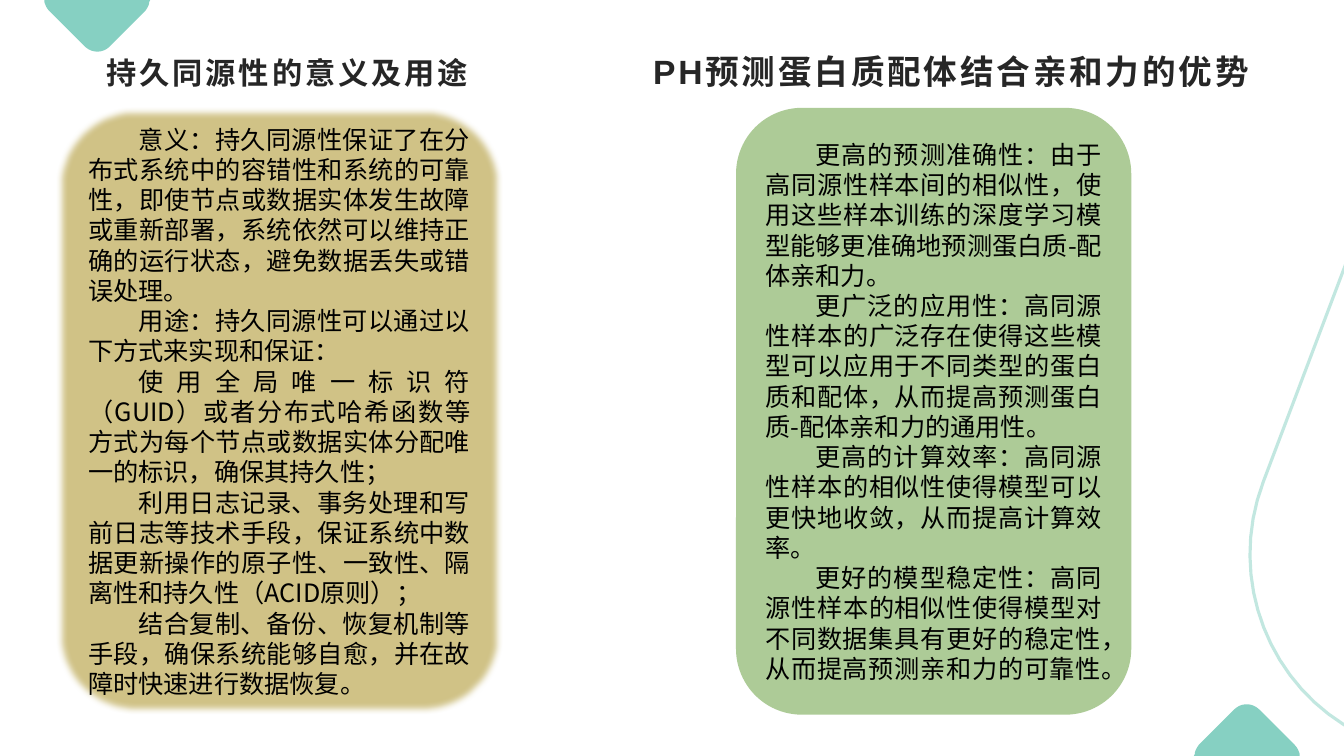
"""Build the slide on persistent homology: its meaning, uses and advantages."""
from dataclasses import dataclass

from lxml import etree
from pptx import Presentation
from pptx.dml.color import RGBColor
from pptx.enum.lang import MSO_LANGUAGE_ID
from pptx.enum.shapes import MSO_SHAPE
from pptx.enum.text import MSO_ANCHOR, PP_ALIGN
from pptx.oxml.ns import qn
from pptx.shapes.autoshape import Shape
from pptx.slide import Slide
from pptx.text.text import _Paragraph
from pptx.util import Inches, Pt

ROUNDED = MSO_SHAPE.ROUNDED_RECTANGLE
MIDDLE = MSO_ANCHOR.MIDDLE
LEFT, CENTER, JUSTIFY = PP_ALIGN.LEFT, PP_ALIGN.CENTER, PP_ALIGN.JUSTIFY
CHINESE = MSO_LANGUAGE_ID.SIMPLIFIED_CHINESE

WIDTH, HEIGHT = 13.33, 7.5
CHINESE_FONT, TITLE_FONT = "Noto Sans CJK SC", "Arial"
TEAL, TITLE_COLOR, BODY_COLOR = "86D0C2", "262626", "000000"
CURVE_STEPS = 16

Point = tuple[float, float]


@dataclass
class Title:
    text: str
    left: float
    top: float
    width: float
    height: float
    size: float
    alignment: PP_ALIGN


@dataclass
class Panel:
    left: float
    width: float
    fill: str
    soft_edge: float
    paragraphs: list[str]


TITLES = [
    Title("持久同源性的意义及用途", 0.73, 0.48, 4.24, 0.48, 21.6, CENTER),
    Title("PH预测蛋白质配体结合亲和力的优势", 6.38, 0.46, 6.37, 0.5, 24, LEFT),
]
PANELS = [
    Panel(0.56, 4.42, "D0C286", 5, [
        "意义：持久同源性保证了在分布式系统中的容错性和系统的可靠性，即使节点或数据实体发生故障或重新部署，"
        "系统依然可以维持正确的运行状态，避免数据丢失或错误处理。",
        "用途：持久同源性可以通过以下方式来实现和保证：",
        "使用全局唯一标识符（GUID）或者分布式哈希函数等方式为每个节点或数据实体分配唯一的标识，确保其持久性；",
        "利用日志记录、事务处理和写前日志等技术手段，保证系统中数据更新操作的原子性、一致性、"
        "隔离性和持久性（ACID原则）；",
        "结合复制、备份、恢复机制等手段，确保系统能够自愈，并在故障时快速进行数据恢复。",
    ]),
    Panel(7.3, 3.92, "ADCB97", 0, [
        "更高的预测准确性：由于高同源性样本间的相似性，使用这些样本训练的深度学习模型能够更准确地预测"
        "蛋白质-配体亲和力。",
        "更广泛的应用性：高同源性样本的广泛存在使得这些模型可以应用于不同类型的蛋白质和配体，"
        "从而提高预测蛋白质-配体亲和力的通用性。",
        "更高的计算效率：高同源性样本的相似性使得模型可以更快地收敛，从而提高计算效率。",
        "更好的模型稳定性：高同源性样本的相似性使得模型对不同数据集具有更好的稳定性，"
        "从而提高预测亲和力的可靠性。",
    ]),
]


def color(value: str) -> RGBColor:
    return RGBColor.from_string(value)


def curve(start: Point, first: Point, second: Point, end: Point) -> list[Point]:
    points = []
    for step in range(CURVE_STEPS + 1):
        t = step / CURVE_STEPS
        weights = ((1 - t) ** 3, 3 * t * (1 - t) ** 2, 3 * t * t * (1 - t), t ** 3)
        controls = (start, first, second, end)
        points.append((sum(w * c[0] for w, c in zip(weights, controls)),
                       sum(w * c[1] for w, c in zip(weights, controls))))
    return points


def add_outline(slide: Slide, points: list[Point]) -> Shape:
    corners = [(Inches(x), Inches(y)) for x, y in points]
    builder = slide.shapes.build_freeform(*corners[0])
    builder.add_line_segments(corners[1:], close=True)
    shape = builder.convert_to_shape()
    shape.shadow.inherit = False
    return shape


def add_corner(slide: Slide, points: list[Point]) -> None:
    shape = add_outline(slide, points)
    shape.fill.solid()
    shape.fill.fore_color.rgb = color(TEAL)
    shape.line.fill.background()


def add_decorations(slide: Slide) -> None:
    corner = [
        (0.44, 0), (1.49, 0),
        *curve((1.48, 0.02), (1.48, 0.05), (1.46, 0.08), (1.44, 0.11)),
        *curve((1.09, 0.46), (1.02, 0.53), (0.91, 0.53), (0.84, 0.46)),
        *curve((0.49, 0.11), (0.46, 0.08), (0.45, 0.05), (0.44, 0.02)),
    ]
    add_corner(slide, corner)
    arc = add_outline(slide, [
        (13.62, 1.9), (13.63, 7.34),
        *curve((13.49, 7.28), (12.59, 6.83), (12.16, 5.75), (12.53, 4.78)),
    ])
    arc.fill.background()
    arc.line.width = Pt(2.25)
    arc.line.color.rgb = color(TEAL)
    line_color = arc.line._ln.find(".//" + qn("a:srgbClr"))
    etree.SubElement(line_color, qn("a:alpha"), val="50000")
    add_corner(slide, [(WIDTH - x, HEIGHT - y) for x, y in corner])


def add_run(paragraph: _Paragraph, text: str, font_name: str, size: float,
            text_color: str, bold: bool = False, spacing: int = 0) -> None:
    run = paragraph.add_run()
    run.text = text
    font = run.font
    font.name, font.size, font.bold = font_name, Pt(size), bold
    font.color.rgb = color(text_color)
    font.language_id = CHINESE
    properties = run._r.get_or_add_rPr()
    properties.set("spc", str(spacing * 100))
    latin = properties.find(qn("a:latin"))
    east_asian = etree.Element(qn("a:ea"), typeface=CHINESE_FONT)
    latin.addnext(east_asian)


def add_title(slide: Slide, title: Title) -> None:
    box = slide.shapes.add_textbox(Inches(title.left), Inches(title.top),
                                   Inches(title.width), Inches(title.height))
    frame = box.text_frame
    frame.word_wrap = True
    frame.vertical_anchor = MIDDLE
    paragraph = frame.paragraphs[0]
    paragraph.alignment = title.alignment
    add_run(paragraph, title.text, TITLE_FONT, title.size, TITLE_COLOR, True, 2)


def add_panel(slide: Slide, panel: Panel) -> None:
    shape = slide.shapes.add_shape(ROUNDED, Inches(panel.left), Inches(1.07),
                                   Inches(panel.width), Inches(6.02))
    shape.shadow.inherit = False
    shape.fill.solid()
    shape.fill.fore_color.rgb = color(panel.fill)
    shape.line.fill.background()
    if panel.soft_edge:
        effects = shape._element.spPr.find(qn("a:effectLst"))
        etree.SubElement(effects, qn("a:softEdge"), rad=str(Pt(panel.soft_edge)))
    frame = shape.text_frame
    frame.word_wrap = True
    frame.vertical_anchor = MIDDLE
    for index, text in enumerate(panel.paragraphs):
        paragraph = frame.add_paragraph() if index else frame.paragraphs[0]
        paragraph.alignment = JUSTIFY
        paragraph._p.get_or_add_pPr().set("indent", str(Inches(0.5)))
        add_run(paragraph, text, CHINESE_FONT, 18, BODY_COLOR)


def main() -> None:
    presentation = Presentation()
    presentation.slide_width = Inches(WIDTH)
    presentation.slide_height = Inches(HEIGHT)
    slide = presentation.slides.add_slide(presentation.slide_layouts[6])
    add_decorations(slide)
    for panel in PANELS:
        add_panel(slide, panel)
    for title in TITLES:
        add_title(slide, title)
    presentation.save("out.pptx")


if __name__ == "__main__":
    main()
